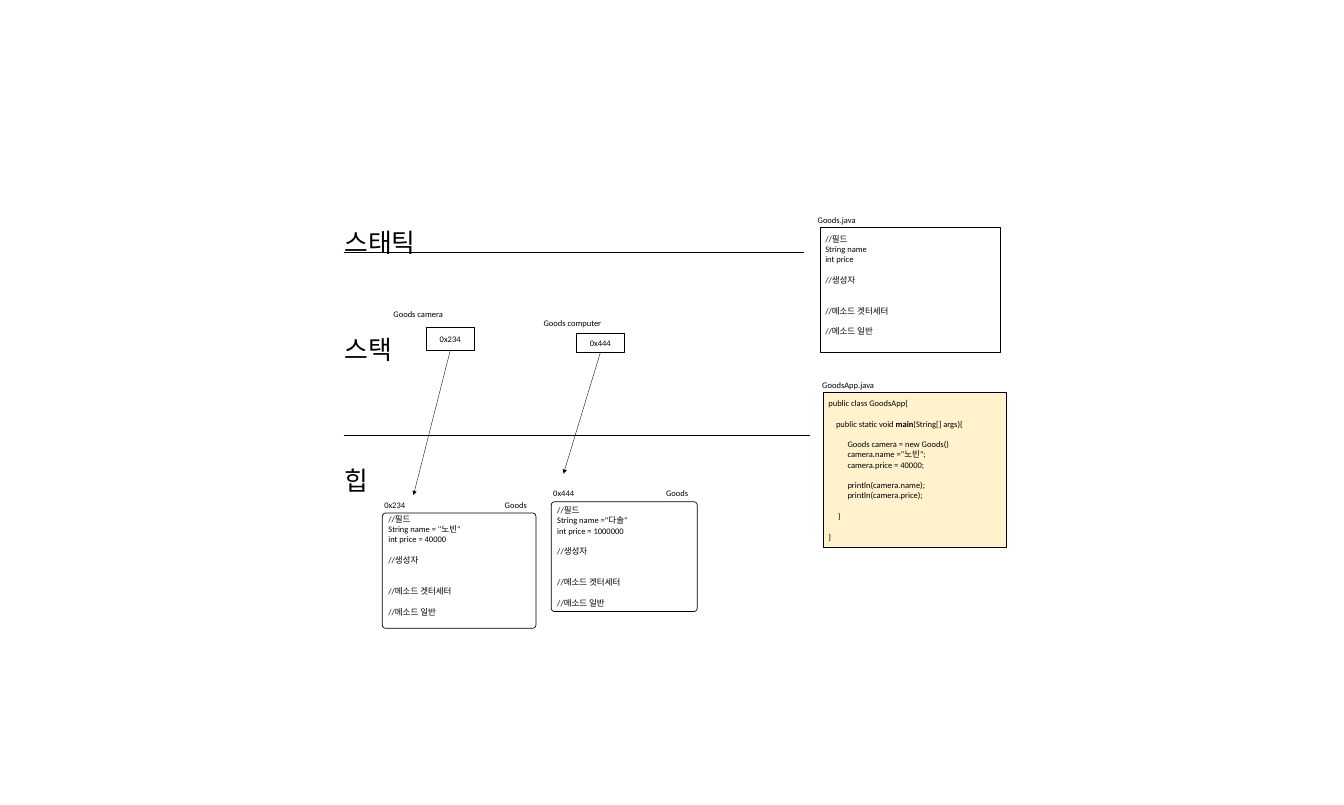
from collections import namedtuple

from lxml.etree import SubElement
from pptx import Presentation
from pptx.dml.color import RGBColor
from pptx.enum.shapes import MSO_CONNECTOR, MSO_SHAPE
from pptx.enum.text import MSO_ANCHOR, PP_ALIGN
from pptx.oxml.ns import qn
from pptx.util import Inches, Pt

COLORS = {"ink": "000000", "code": "FFF2CC"}
FONT = "Calibri"
CODE_SIZE = 12
HEADING_SIZE = 36.4
LINE_HEIGHT = 14.65  # points taken by one line of code
LABEL_HEIGHT = 0.3

Box = namedtuple("Box", "left top width height")

CLASS_LINES = """//필드
String name{name}
int price{price}

//생성자


//메소드 겟터세터

//메소드 일반"""

APP_LINES = """public class GoodsApp{

    public static void main(String[] args){

          Goods camera = new Goods()
          camera.name ="노빈";
          camera.price = 40000;

          println(camera.name);
          println(camera.price);

     }

}"""


def style_run(run, size=CODE_SIZE, bold=None):
    run.font.name = FONT
    run.font.size = Pt(size)
    run.font.bold = bold
    run.font.color.rgb = RGBColor.from_string(COLORS["ink"])


def add_label(shapes, text, box, size=CODE_SIZE):
    label = shapes.add_textbox(*map(Inches, box))
    label.text_frame.word_wrap = True
    label.text_frame.text = text
    style_run(label.text_frame.paragraphs[0].runs[0], size)


def add_panel(shapes, kind, box, fill=None):
    panel = shapes.add_shape(kind, *map(Inches, box))
    panel.shadow.inherit = False
    if fill:
        panel.fill.solid()
        panel.fill.fore_color.rgb = RGBColor.from_string(COLORS[fill])
    else:
        panel.fill.background()
    panel.line.color.rgb = RGBColor.from_string(COLORS["ink"])
    panel.line.width = Pt(1)
    panel.text_frame.vertical_anchor = MSO_ANCHOR.MIDDLE
    panel.text_frame.word_wrap = True
    return panel


def write_code(panel, code, bold_word=None, spare_line=False):
    """Write code lines, turning each empty line into space before the next."""
    frame = panel.text_frame
    if spare_line:
        frame.margin_bottom = Inches(0.05) + Pt(LINE_HEIGHT)
    paragraph, gap = frame.paragraphs[0], 0
    for number, line in enumerate(code.split("\n")):
        if not line:
            gap += 1
            continue
        if number:
            paragraph = frame.add_paragraph()
        paragraph.alignment = PP_ALIGN.LEFT
        if gap:
            paragraph.space_before = Pt(gap * LINE_HEIGHT)
        gap = 0
        pieces = line.partition(bold_word) if bold_word else (line,)
        for piece in filter(None, pieces):
            run = paragraph.add_run()
            run.text = piece
            style_run(run, bold=True if piece == bold_word else None)


def add_line(shapes, start, end):
    line = shapes.add_connector(MSO_CONNECTOR.STRAIGHT, *map(Inches, (*start, *end)))
    line.line.color.rgb = RGBColor.from_string(COLORS["ink"])
    line.line.width = Pt(0.5)
    SubElement(line._element.spPr, qn("a:effectLst"))
    return line


def draw_memory_area(slide, name, box, ruled_width=None):
    """A memory area's heading, with a rule along the bottom of its box."""
    add_label(slide.shapes, name, box, HEADING_SIZE)
    if ruled_width:
        left, bottom = box.left + 0.08, box.top + box.height
        add_line(slide.shapes, (left, bottom), (left + ruled_width, bottom))


def draw_source_file(slide, name, code, box, label_offset, label_width, **options):
    """A source file: its name above a box of code."""
    shapes = slide.shapes.add_group_shape().shapes
    fill = options.pop("fill", None)
    write_code(add_panel(shapes, MSO_SHAPE.RECTANGLE, box, fill), code, **options)
    add_label(shapes, name, Box(box.left + label_offset, box.top - 0.29,
                                label_width, LABEL_HEIGHT))


def draw_reference(slide, variable, address, fields, slot, card,
                   label_gap, arrow_gap, spare_line):
    """A stack variable with an arrow to its object on the heap."""
    shapes = slide.shapes.add_group_shape().shapes

    # Variable on the stack
    variable_slot = add_panel(shapes, MSO_SHAPE.RECTANGLE, slot)
    write_code(variable_slot, address)
    variable_slot.text_frame.paragraphs[0].alignment = PP_ALIGN.CENTER
    add_label(shapes, variable, Box(slot.left - 0.74, slot.top - label_gap,
                                    1.55, LABEL_HEIGHT))

    # Object on the heap
    heap_object = add_panel(shapes, MSO_SHAPE.ROUNDED_RECTANGLE, card)
    heap_object.adjustments[0] = 0.03
    write_code(heap_object, CLASS_LINES.format(**fields), spare_line=spare_line)
    tag_top = card.top - 0.31
    add_label(shapes, "Goods", Box(card.left + card.width - 0.71, tag_top,
                                   1.23, LABEL_HEIGHT))
    add_label(shapes, address, Box(card.left - 0.06, tag_top, 1.23, LABEL_HEIGHT))

    # Arrow from variable to object
    middle = slot.left + slot.width / 2
    arrow = add_line(shapes, (middle, slot.top + slot.height),
                     (middle - 0.72, card.top - arrow_gap))
    arrow.begin_connect(variable_slot, 2)
    SubElement(arrow.line._get_or_add_ln(), qn("a:tailEnd"), type="triangle")


def main():
    deck = Presentation()
    deck.slide_width, deck.slide_height = Inches(26.33), Inches(15.77)
    slide = deck.slides.add_slide(deck.slide_layouts[6])

    # Memory areas
    draw_memory_area(slide, "스태틱", Box(6.65, 4.39, 1.73, 0.56), 9.03)
    draw_memory_area(slide, "스택", Box(6.65, 6.49, 1.22, 2.04), 9.13)
    draw_memory_area(slide, "힙", Box(6.65, 9.06, 0.71, 0.71))

    # Source files
    draw_source_file(slide, "Goods.java", CLASS_LINES.format(name="", price=""),
                     Box(16.07, 4.46, 3.53, 2.45), -0.15, 1.08, spare_line=True)
    draw_source_file(slide, "GoodsApp.java", APP_LINES,
                     Box(16.13, 7.68, 3.59, 3.05), -0.12, 3.81,
                     fill="code", bold_word="main")

    # Variables and their objects
    draw_reference(slide, "Goods camera", "0x234",
                   {"name": ' = "노빈"', "price": " = 40000"},
                   Box(8.35, 6.42, 0.94, 0.45), Box(7.49, 10.05, 3.01, 2.26),
                   label_gap=0.42, arrow_gap=0.35, spare_line=True)
    draw_reference(slide, "Goods computer", "0x444",
                   {"name": ' ="다솔"', "price": " = 1000000"},
                   Box(11.29, 6.53, 0.94, 0.38), Box(10.8, 9.83, 2.86, 2.15),
                   label_gap=0.35, arrow_gap=0.55, spare_line=False)

    deck.save("out.pptx")


if __name__ == "__main__":
    main()
